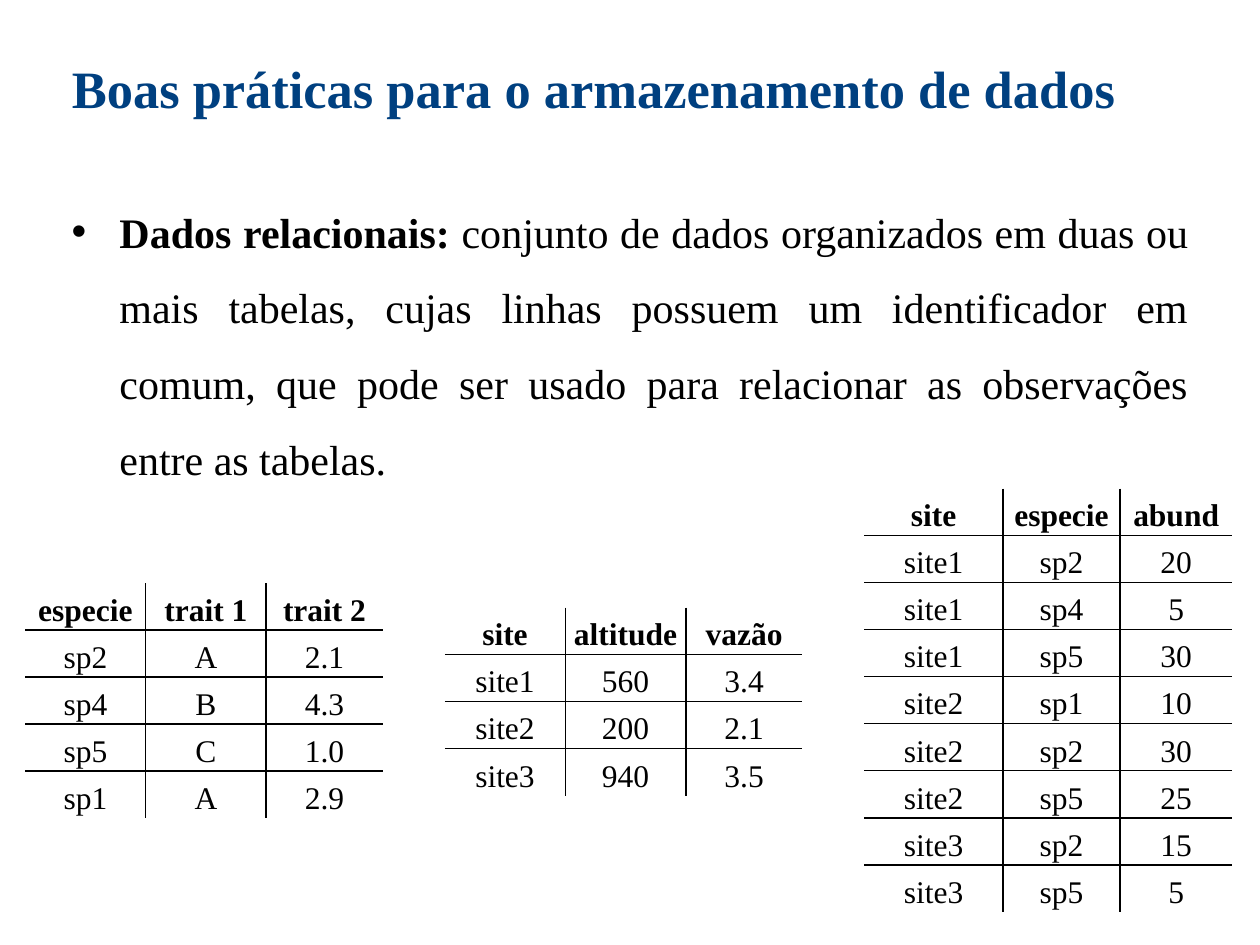
from lxml.etree import SubElement as Sub
from pptx import Presentation as Deck
from pptx.dml.color import RGBColor as Rgb
from pptx.enum.text import MSO_ANCHOR as Anchor, MSO_AUTO_SIZE as Fit, PP_ALIGN as Align
from pptx.oxml.ns import qn
from pptx.util import Inches, Pt

WIDE, HIGH = Inches(10), Inches(7.5)
BLUE, BLACK = "004080", "000000"
EDGE, SPAN = 0.047, 0.906
ROW = 0.0498
TRAITS = [
    ("especie", "trait 1", "trait 2"),
    ("sp2", "A", "2.1"),
    ("sp4", "B", "4.3"),
    ("sp5", "C", "1.0"),
    ("sp1", "A", "2.9"),
]
SITES = [
    ("site", "altitude", "vazão"),
    ("site1", "560", "3.4"),
    ("site2", "200", "2.1"),
    ("site3", "940", "3.5"),
]
COUNTS = [
    ("site", "especie", "abund"),
    ("site1", "sp2", "20"),
    ("site1", "sp4", "5"),
    ("site1", "sp5", "30"),
    ("site2", "sp1", "10"),
    ("site2", "sp2", "30"),
    ("site2", "sp5", "25"),
    ("site3", "sp2", "15"),
    ("site3", "sp5", "5"),
]


def scale(box):
    x, y, w, h = box
    return int(x * WIDE), int(y * HIGH), int(w * WIDE), int(h * HIGH)


def apply(item, values):
    for name, value in values.items():
        setattr(item, name, value)


def tint(color, code):
    color.rgb = Rgb.from_string(code)


def write(para, text, size, code=BLACK, bold=False):
    run = para.add_run()
    run.text = text
    apply(run.font, {"name": "Times New Roman", "size": Pt(size), "bold": bold})
    tint(run.font.color, code)


def frame(shape, box):
    apply(shape, dict(zip(("left", "top", "width", "height"), scale(box))))
    text = shape.text_frame
    apply(text, {"word_wrap": True, "auto_size": Fit.NONE, "vertical_anchor": Anchor.TOP})
    para = text.paragraphs[0]
    apply(para, {"alignment": Align.JUSTIFY, "line_spacing": 1.5})
    return para


def head(slide, box):
    para = frame(slide.shapes.title, box)
    write(para, "Boas práticas para o armazenamento de dados", 30, BLUE, True)


def body(slide, box):
    para = frame(slide.shapes.add_textbox(*scale(box)), box)
    props = para._p.get_or_add_pPr()
    dent = Inches(0.38)
    props.set("marL", str(dent))
    props.set("indent", str(-dent))
    Sub(props, qn("a:buFont"), typeface="Arial")
    Sub(props, qn("a:buChar"), char="•")
    write(para, "Dados relacionais: ", 24, bold=True)
    write(
        para,
        "conjunto de dados organizados em duas ou mais tabelas, cujas linhas "
        "possuem um identificador em comum, que pode ser usado para relacionar "
        "as observações entre as tabelas.",
        24,
    )


def rule(cell, sides):
    props = cell._tc.get_or_add_tcPr()
    for spot, (side, shown) in enumerate(sides.items()):
        line = Sub(props, qn(f"a:ln{side}"), w=str(Pt(1)))
        if shown:
            fill = Sub(line, qn("a:solidFill"))
            Sub(fill, qn("a:srgbClr"), val=BLACK)
        else:
            Sub(line, qn("a:noFill"))
        props.insert(spot, line)


def grid(slide, box, rows, cols):
    deep, wide = len(rows), len(cols)
    table = slide.shapes.add_table(deep, wide, *scale(box)).table
    apply(table, {"first_row": False, "horz_banding": False})
    for col, part in zip(table.columns, cols):
        col.width = int(box[2] * WIDE * part / sum(cols))
    pad = Inches(0.01)
    for r, row in enumerate(rows):
        for c, text in enumerate(row):
            cell = table.cell(r, c)
            apply(cell, {
                "margin_left": pad, "margin_right": pad, "margin_top": pad,
                "margin_bottom": 0, "vertical_anchor": Anchor.MIDDLE,
            })
            cell.fill.background()
            rule(cell, {"L": c > 0, "R": c < wide - 1, "T": r > 0, "B": r < deep - 1})
            para = cell.text_frame.paragraphs[0]
            apply(para, {"alignment": Align.CENTER, "line_spacing": 1.2})
            write(para, text, 18, bold=r == 0)


def main():
    deck = Deck()
    apply(deck, {"slide_width": WIDE, "slide_height": HIGH})
    slide = deck.slides.add_slide(deck.slide_layouts[5])
    head(slide, (EDGE, 0.019, SPAN, 0.109))
    body(slide, (EDGE, 0.185, SPAN, 0.332))
    for left, top, wide, rows, cols in (
        (0.686, 0.517, 0.292, COUNTS, (1.1, 0.93, 0.89)),
        (0.02, 0.617, 0.284, TRAITS, (0.96, 0.96, 0.93)),
        (0.353, 0.643, 0.284, SITES, (0.96, 0.96, 0.93)),
    ):
        grid(slide, (left, top, wide, ROW * len(rows)), rows, cols)
    deck.save("out.pptx")


if __name__ == "__main__":
    main()
